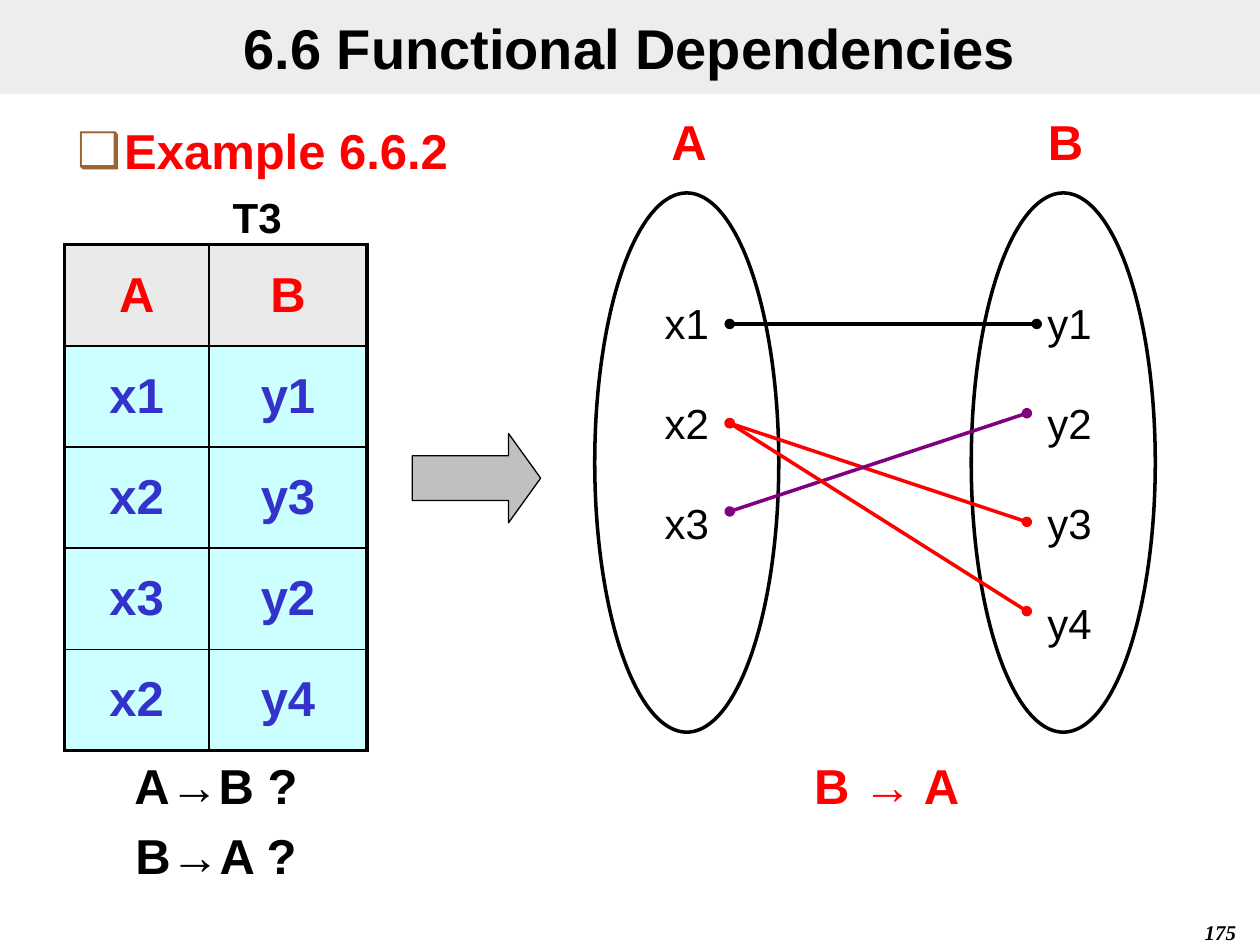
from dataclasses import dataclass

from lxml import etree
from pptx import Presentation
from pptx.dml.color import RGBColor
from pptx.enum.shapes import MSO_CONNECTOR, MSO_SHAPE
from pptx.enum.text import MSO_ANCHOR, MSO_AUTO_SIZE, PP_ALIGN
from pptx.oxml.ns import qn
from pptx.util import Cm, Pt

LEFT, CENTER, RIGHT = PP_ALIGN.LEFT, PP_ALIGN.CENTER, PP_ALIGN.RIGHT
TOP, MIDDLE = MSO_ANCHOR.TOP, MSO_ANCHOR.MIDDLE
STRAIGHT = MSO_CONNECTOR.STRAIGHT
OVAL, RIGHT_ARROW = MSO_SHAPE.OVAL, MSO_SHAPE.RIGHT_ARROW
NO_AUTOFIT = MSO_AUTO_SIZE.NONE

BLACK, RED, PURPLE, BLUE = "000000", "FF0000", "800080", "3333CC"
THIN, THICK = 1, 2.25
ROWS = [("A", "B"), ("x1", "y1"), ("x2", "y3"), ("x3", "y2"), ("x2", "y4")]


@dataclass
class Label:
    lines: list[str]
    box: tuple[float, float, float, float]
    color: str = BLACK
    size: float = 28


@dataclass
class Domain:
    name: str
    members: list[str]
    left: float
    right_inset: float


@dataclass
class Mapping:
    start: tuple[float, float]
    end: tuple[float, float]
    color: str


LABELS = [
    Label(["T3"], (3.38, 3.73, 3.61, 1.27), size=24),
    Label(["B → A"], (15.65, 15.11, 4.45, 1.45), RED),
    Label(["A→B ?", "B→A ?"], (2.13, 15.11, 4.45, 2.87)),
]
DOMAINS = [
    Domain("A", ["x1", "x2", "x3"], 11.99, 0.25),
    Domain("B", ["y1", "y2", "y3", "y4"], 19.58, 0),
]
X1, X2, X3 = (14.71, 6.53), (14.71, 8.53), (14.71, 10.31)
MAPPINGS = [
    Mapping(X1, (20.9, 6.53), BLACK),
    Mapping(X2, (20.7, 10.52), RED),
    Mapping(X3, (20.7, 8.33), PURPLE),
    Mapping(X2, (20.7, 12.32), RED),
]


def rgb(color: str) -> RGBColor:
    return RGBColor.from_string(color)


def place(shape, box: tuple) -> None:
    shape.left, shape.top, shape.width, shape.height = map(Cm, box)


def write(frame, lines: list[str], *, size: float = 28, color: str = BLACK,
          bold: bool = True, italic: bool = False, font: str = "Arial",
          align=CENTER, anchor=TOP, gap: float = 0, spacing: float = 1) -> None:
    """Fill a text frame, one paragraph per line, with gap points between."""
    frame.word_wrap = True
    frame.vertical_anchor = anchor
    for index, line in enumerate(lines):
        paragraph = frame.add_paragraph() if index else frame.paragraphs[0]
        paragraph.alignment = align
        paragraph.line_spacing = spacing
        paragraph.space_before = Pt(gap if index else 0)
        run = paragraph.add_run()
        run.text = line
        run.font.name, run.font.size = font, Pt(size)
        run.font.bold, run.font.italic = bold, italic
        run.font.color.rgb = rgb(color)


def add_text(slide, lines: list[str], box: tuple, **text_format) -> None:
    write(slide.shapes.add_textbox(*map(Cm, box)).text_frame, lines, **text_format)


def fill_title(title) -> None:
    place(title, (0, 0, 25.4, 1.9))
    title.fill.solid()
    title.fill.fore_color.rgb = rgb("DDDDDD")
    shade = title.element.spPr.find(".//" + qn("a:srgbClr"))
    etree.SubElement(shade, qn("a:alpha"), val="50000")
    title.text_frame.auto_size = NO_AUTOFIT
    write(title.text_frame, ["6.6 Functional Dependencies"], size=32, anchor=MIDDLE)


def fill_body(body) -> None:
    place(body, (1.3, 2.31, 22.86, 15.67))
    body.text_frame.auto_size = NO_AUTOFIT
    write(body.text_frame, ["Example 6.6.2"], color=RED, align=LEFT)
    properties = body.text_frame.paragraphs[0]._p.get_or_add_pPr()
    indent = Cm(0.95)
    properties.set("marL", str(indent))
    properties.set("indent", str(-indent))
    bullet_color = etree.SubElement(properties, qn("a:buClr"))
    etree.SubElement(bullet_color, qn("a:srgbClr"), val="996633")
    etree.SubElement(properties, qn("a:buChar"), char="❑")


def set_borders(cell, widths: dict[str, float]) -> None:
    properties = cell._tc.get_or_add_tcPr()
    for side, width in widths.items():
        line = etree.SubElement(properties, qn(f"a:ln{side}"), w=str(Pt(width)))
        fill = etree.SubElement(line, qn("a:solidFill"))
        etree.SubElement(fill, qn("a:srgbClr"), val=BLACK)


def add_relation(slide) -> None:
    box = map(Cm, (1.3, 4.93, 6.1, 10.2))
    table = slide.shapes.add_table(len(ROWS), 2, *box).table
    table.first_row = table.horz_banding = False
    for column, width in zip(table.columns, (2.91, 3.19)):
        column.width = Cm(width)
    last = len(ROWS) - 1
    for i, values in enumerate(ROWS):
        table.rows[i].height = Cm(2.04)
        for j, value in enumerate(values):
            cell = table.cell(i, j)
            set_borders(cell, {
                "L": THICK if j == 0 else THIN,
                "R": THICK if j == 1 else THIN,
                "T": THICK if i == 0 else THIN,
                "B": THICK if i == last else THIN,
            })
            cell.fill.solid()
            cell.fill.fore_color.rgb = rgb("CCFFFF" if i else "EAEAEA")
            cell.margin_top = cell.margin_bottom = 0
            cell.vertical_anchor = MIDDLE
            write(cell.text_frame, [value], color=BLUE if i else RED, anchor=MIDDLE)


def add_outlined(slide, kind, box: tuple, line_width: float, fill: str = ""):
    shape = slide.shapes.add_shape(kind, *map(Cm, box))
    shape.shadow.inherit = False
    shape.line.color.rgb = rgb(BLACK)
    shape.line.width = Pt(line_width)
    if fill:
        shape.fill.solid()
        shape.fill.fore_color.rgb = rgb(fill)
    else:
        shape.fill.background()
    return shape


def add_domain(slide, domain: Domain) -> None:
    ellipse = add_outlined(slide, OVAL, (domain.left, 3.89, 3.71, 10.87), 2)
    frame = ellipse.text_frame
    frame.margin_top = frame.margin_bottom = 0
    frame.margin_left, frame.margin_right = Cm(0.25), Cm(domain.right_inset)
    write(frame, domain.members, size=24, bold=False, gap=14, spacing=1.5)
    add_text(slide, [domain.name], (domain.left + 0.3, 2.13, 3.2, 1.45), color=RED)


def add_mapping(slide, mapping: Mapping) -> None:
    ends = map(Cm, mapping.start + mapping.end)
    connector = slide.shapes.add_connector(STRAIGHT, *ends)
    connector.line.color.rgb = rgb(mapping.color)
    connector.line.width = Pt(2)
    properties = connector.element.spPr
    line = properties.find(qn("a:ln"))
    for end in ("a:headEnd", "a:tailEnd"):
        etree.SubElement(line, qn(end), type="oval")
    etree.SubElement(properties, qn("a:effectLst"))


def main() -> None:
    presentation = Presentation()
    presentation.slide_width, presentation.slide_height = Cm(25.4), Cm(19.05)
    slide = presentation.slides.add_slide(presentation.slide_layouts[1])
    fill_title(slide.shapes.title)
    fill_body(slide.placeholders[1])
    add_relation(slide)
    for label in LABELS:
        add_text(slide, label.lines, label.box, size=label.size,
                 color=label.color, gap=6.5)
    for domain in DOMAINS:
        add_domain(slide, domain)
    for mapping in MAPPINGS:
        add_mapping(slide, mapping)
    arrow = add_outlined(slide, RIGHT_ARROW, (8.31, 8.74, 2.59, 1.8), 0.75, "C0C0C0")
    arrow.adjustments[1] = 0.36
    add_text(slide, ["175"], (19.89, 18.42, 5.28, 0.64), size=12, italic=True,
             font="Times New Roman", align=RIGHT)
    presentation.save("out.pptx")


if __name__ == "__main__":
    main()
